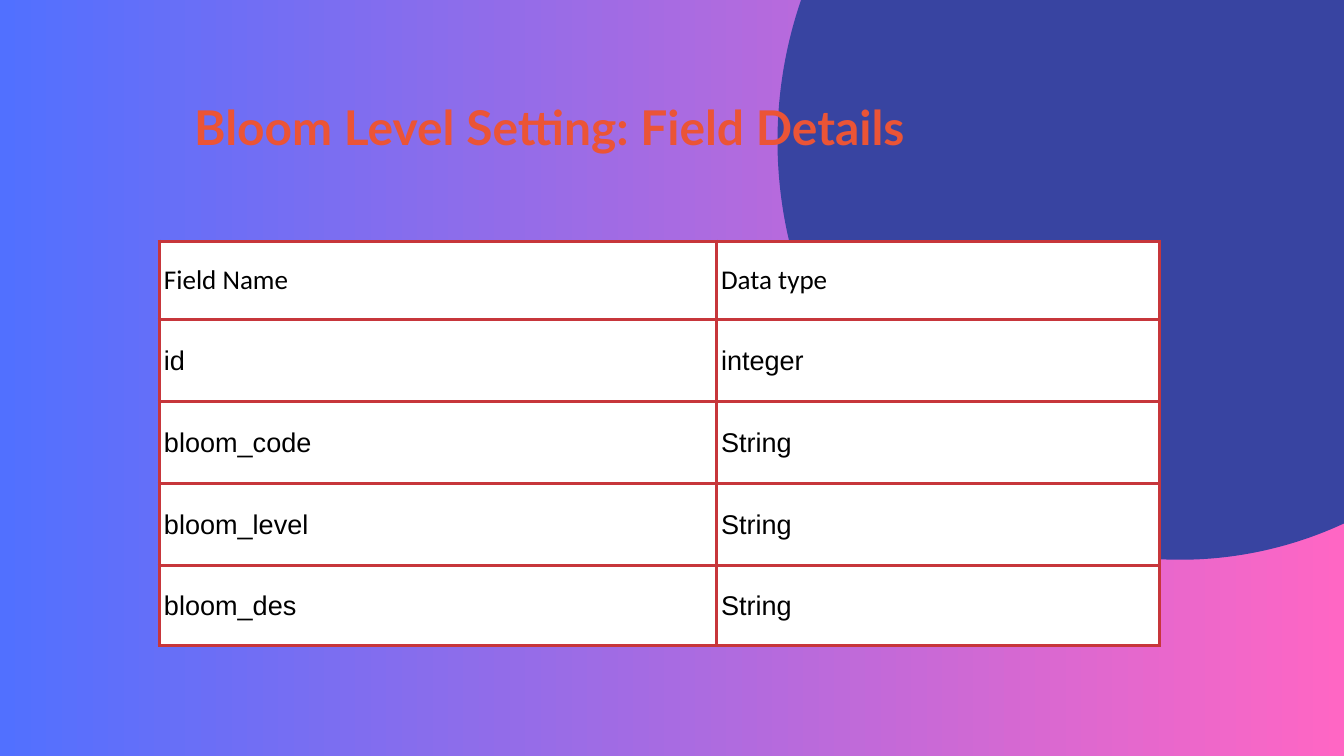
from lxml import etree
from pptx import Presentation
from pptx.dml.color import RGBColor
from pptx.enum import shapes, text
from pptx.oxml.ns import qn
from pptx.util import Inches, Pt

COLORS = {
    "blue": "5170FF",
    "pink": "FF66C4",
    "circle": "3844A1",
    "title": "EB5436",
    "border": "C7363B",
    "cell": "FFFFFF",
    "ink": "000000",
}
FIELDS = [
    ("Field Name", "Data type"),
    ("id", "integer"),
    ("bloom_code", "String"),
    ("bloom_level", "String"),
    ("bloom_des", "String"),
]
COLUMN_WIDTHS = [8.29, 6.59]
ROW_HEIGHTS = [1.16, 1.22, 1.22, 1.22, 1.19]


def rgb(name):
    return RGBColor.from_string(COLORS[name])


def style_text(frame, font, size, color, spacing, bold=False):
    for para in frame.paragraphs:
        para.alignment = text.PP_ALIGN.LEFT
        para.line_spacing = Pt(spacing)
        for span in para.runs:
            span.font.name = font
            span.font.size = Pt(size)
            span.font.bold = bold
            span.font.color.rgb = rgb(color)


def paint_background(page):
    fill = page.background.fill
    fill.gradient()
    fill.gradient_angle = 0
    for stop, position, name in zip(fill.gradient_stops, (0, 1), ("blue", "pink")):
        stop.position = position
        stop.color.rgb = rgb(name)


def add_circle(page):
    circle = page.shapes.add_shape(
        shapes.MSO_SHAPE.OVAL, Inches(11.57), Inches(-4.13), Inches(11.98), Inches(12.46))
    circle.shadow.inherit = False
    circle.fill.solid()
    circle.fill.fore_color.rgb = rgb("circle")
    circle.line.fill.background()


def add_borders(cell, color, width):
    properties = cell._tc.get_or_add_tcPr()
    for side in ("lnL", "lnR", "lnT", "lnB"):
        line = etree.SubElement(properties, qn(f"a:{side}"), w=str(Pt(width)))
        fill = etree.SubElement(line, qn("a:solidFill"))
        etree.SubElement(fill, qn("a:srgbClr"), val=COLORS[color])


def fill_cell(cell, words, font):
    cell.text_frame.text = words
    cell.vertical_anchor = text.MSO_ANCHOR.MIDDLE
    cell.margin_left = cell.margin_right = Inches(0.07)
    cell.margin_top = cell.margin_bottom = Inches(0.07)
    style_text(cell.text_frame, font, 29, "ink", 34.8)
    add_borders(cell, "border", 3.75)
    cell.fill.solid()
    cell.fill.fore_color.rgb = rgb("cell")


def add_field_table(page):
    table = page.shapes.add_table(
        len(ROW_HEIGHTS), len(COLUMN_WIDTHS), Inches(2.37), Inches(3.59),
        Inches(sum(COLUMN_WIDTHS)), Inches(sum(ROW_HEIGHTS))).table
    table.horz_banding = False
    table.first_row = False
    for column, width in zip(table.columns, COLUMN_WIDTHS):
        column.width = Inches(width)
    for row, height in zip(table.rows, ROW_HEIGHTS):
        row.height = Inches(height)
    for r, field in enumerate(FIELDS):
        for c, words in enumerate(field):
            fill_cell(table.cell(r, c), words, "Arial" if r else "Calibri")


def set_title(page, words):
    """Format the title placeholder and bring it in front of the circle."""
    title = page.shapes.title
    title.left, title.top = Inches(2.89), Inches(1.37)
    title.width, title.height = Inches(13.13), Inches(0.91)
    frame = title.text_frame
    frame.text = words
    frame.word_wrap = True
    frame.auto_size = text.MSO_AUTO_SIZE.SHAPE_TO_FIT_TEXT
    frame.vertical_anchor = text.MSO_ANCHOR.TOP
    frame.margin_left = frame.margin_right = frame.margin_top = frame.margin_bottom = 0
    style_text(frame, "Lato", 51.3, "title", 67.7, bold=True)
    title.element.getparent().append(title.element)


def main():
    deck = Presentation()
    deck.slide_width, deck.slide_height = Inches(20), Inches(11.25)
    page = deck.slides.add_slide(deck.slide_layouts[5])
    paint_background(page)
    add_circle(page)
    add_field_table(page)
    set_title(page, "Bloom Level Setting: Field Details")
    deck.save("out.pptx")


if __name__ == "__main__":
    main()
